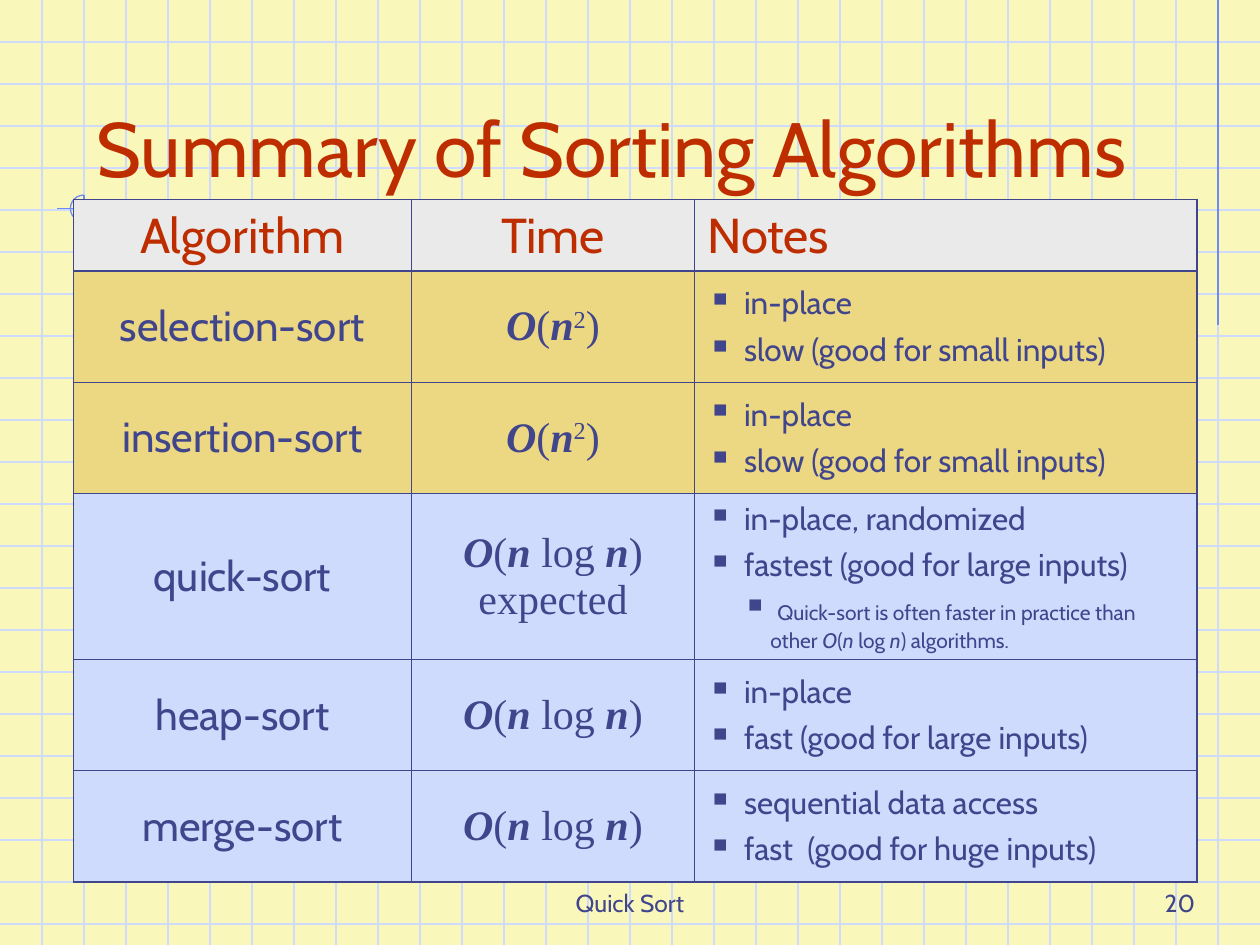
import dataclasses

import lxml.etree
import pptx
import pptx.dml.color
import pptx.enum.shapes
import pptx.enum.text
import pptx.oxml.ns
import pptx.util

Pt = pptx.util.Pt
ALIGN = pptx.enum.text.PP_ALIGN
ANCHOR = pptx.enum.text.MSO_ANCHOR
STRAIGHT = pptx.enum.shapes.MSO_CONNECTOR.STRAIGHT


@dataclasses.dataclass(frozen=True)
class Theme:
    background: str = "F9F8BA"
    grid: str = "CFDBFD"
    accent: str = "6F89F7"
    heading: str = "BE2D00"
    ink: str = "40458C"
    header_fill: str = "EAEAEA"
    slow_fill: str = "ECD882"
    fast_fill: str = "CFDBFD"
    font: str = "Cabin"
    math_font: str = "Times New Roman"
    title_size: float = 44
    header_size: float = 28
    body_size: float = 24
    note_size: float = 18
    detail_size: float = 12
    footer_size: float = 14


THEME = Theme()
WIDTH, HEIGHT, GRID_STEP = 720, 540, 24
THIN, THICK = 0.45, 1.08
COLUMN_WIDTHS = [193, 162, 287]
ROW_HEIGHTS = [41, 63.5, 63.5, 95, 63.5, 63.5]

VARIABLE = {"bold": True, "italic": True}
QUADRATIC = [("O", VARIABLE), ("(", {}), ("n", VARIABLE),
             ("2", {"superscript": True}), (")", {})]
LINEARITHMIC = [("O", VARIABLE), ("(", {}), ("n", VARIABLE), (" log ", {}),
                ("n", VARIABLE), (")", {})]
DETAIL = {"size": THEME.detail_size}
DETAIL_ITALIC = {"size": THEME.detail_size, "italic": True}
QUICK_SORT_DETAIL = [
    (" ", {}), ("Quick-sort is often faster in practice than other ", DETAIL),
    ("O", DETAIL_ITALIC), ("(", DETAIL), ("n", DETAIL_ITALIC),
    (" log ", DETAIL), ("n", DETAIL_ITALIC), (") algorithms.", DETAIL)]

HEADERS = [("Algorithm", ALIGN.CENTER), ("Time", ALIGN.CENTER), ("Notes", ALIGN.LEFT)]
ALGORITHMS = [
    ("selection-sort", QUADRATIC, ["in-place", "slow (good for small inputs)"],
     THEME.slow_fill),
    ("insertion-sort", QUADRATIC, ["in-place", "slow (good for small inputs)"],
     THEME.slow_fill),
    ("quick-sort", LINEARITHMIC + [("\n", {}), ("expected", {})],
     ["in-place, randomized", "fastest (good for large inputs)", QUICK_SORT_DETAIL],
     THEME.fast_fill),
    ("heap-sort", LINEARITHMIC, ["in-place", "fast (good for large inputs)"],
     THEME.fast_fill),
    ("merge-sort", LINEARITHMIC,
     ["sequential data access", "fast  (good for huge inputs)"], THEME.fast_fill),
]


def rgb(value):
    return pptx.dml.color.RGBColor.from_string(value)


def add_xml(parent, tag, **attributes):
    return lxml.etree.SubElement(parent, pptx.oxml.ns.qn(tag), attributes)


def add_run(paragraph, text, size, color=THEME.ink, font=THEME.font,
            bold=False, italic=False, superscript=False):
    if text == "\n":
        paragraph.add_line_break()
        return
    run = paragraph.add_run()
    run.text = text
    run.font.size = Pt(size)
    run.font.name = font
    run.font.bold = bold
    run.font.italic = italic
    run.font.color.rgb = rgb(color)
    if superscript:
        run.font._element.set("baseline", "30000")


def write_text(paragraph, text, align=ALIGN.LEFT, space_before=0, **style):
    """Fill a paragraph from a string or from (text, style) pairs."""
    paragraph.alignment = align
    paragraph.space_before = Pt(space_before)
    runs = [(text, {})] if isinstance(text, str) else text
    for run_text, run_style in runs:
        add_run(paragraph, run_text, **{**style, **run_style})


def add_bullet(paragraph, margin, hanging):
    properties = paragraph._p.get_or_add_pPr()
    properties.set("marL", str(Pt(margin)))
    properties.set("indent", str(-Pt(hanging)))
    add_xml(add_xml(properties, "a:buClr"), "a:srgbClr", val=THEME.ink)
    add_xml(properties, "a:buSzPct", val="110000")
    add_xml(properties, "a:buChar", char="▪")


def add_line(shapes, x1, y1, x2, y2, color):
    line = shapes.add_connector(STRAIGHT, Pt(x1), Pt(y1), Pt(x2), Pt(y2))
    line.line.color.rgb = rgb(color)
    line.line.width = Pt(0.75)
    add_xml(line._element.spPr, "a:effectLst")


def add_grid(slide):
    shapes = slide.shapes.add_group_shape().shapes
    for y in range(GRID_STEP, HEIGHT, GRID_STEP):
        add_line(shapes, 0, y, WIDTH, y, THEME.grid)
    for x in range(GRID_STEP, WIDTH, GRID_STEP):
        add_line(shapes, x, 0, x, HEIGHT, THEME.grid)


def add_accents(slide):
    shapes = slide.shapes.add_group_shape().shapes
    add_line(shapes, 696, 0, 696, 186, THEME.accent)
    add_line(shapes, 172.5, 119.25, 32.5, 119.25, THEME.accent)
    add_line(shapes, 48, 111.5, 48, 294.5, THEME.accent)
    arc = shapes.add_shape(pptx.enum.shapes.MSO_SHAPE.ARC,
                           Pt(40.25), Pt(111.5), Pt(15.25), Pt(15.25))
    arc.adjustments[0] = 0
    arc.adjustments[1] = 162  # 270 degrees
    arc.fill.background()
    arc.line.color.rgb = rgb(THEME.accent)
    arc.line.width = Pt(0.75)
    arc.shadow.inherit = False


def add_text_box(slide, text, left, top, width, height, **style):
    box = slide.shapes.add_textbox(Pt(left), Pt(top), Pt(width), Pt(height))
    box.text_frame.word_wrap = True
    box.text_frame.vertical_anchor = ANCHOR.BOTTOM
    write_text(box.text_frame.paragraphs[0], text, **style)


def format_cell(cell, fill, row, column):
    """Fill the cell and draw its borders: thick outside and under the header."""
    thick_sides = {"L": column == 0, "R": column == len(COLUMN_WIDTHS) - 1,
                   "T": row <= 1, "B": row in (0, len(ROW_HEIGHTS) - 1)}
    properties = cell._tc.get_or_add_tcPr()
    for side, thick in thick_sides.items():
        border = add_xml(properties, f"a:ln{side}", w=str(Pt(THICK if thick else THIN)))
        add_xml(add_xml(border, "a:solidFill"), "a:srgbClr", val=THEME.ink)
    cell.fill.solid()
    cell.fill.fore_color.rgb = rgb(fill)
    cell.vertical_anchor = ANCHOR.MIDDLE


def write_notes(cell, notes):
    frame = cell.text_frame
    for index, note in enumerate(notes):
        paragraph = frame.add_paragraph() if index else frame.paragraphs[0]
        is_detail = not isinstance(note, str)
        write_text(paragraph, note, size=THEME.note_size,
                   space_before=3 if is_detail else 4.5)
        if is_detail:
            paragraph.level = 1
            add_bullet(paragraph, margin=36, hanging=16)
        else:
            add_bullet(paragraph, margin=21, hanging=21)


def add_algorithm_table(slide):
    table = slide.shapes.add_table(
        len(ROW_HEIGHTS), len(COLUMN_WIDTHS), Pt(42), Pt(114),
        Pt(sum(COLUMN_WIDTHS)), Pt(sum(ROW_HEIGHTS))).table
    table.first_row = table.horz_banding = False
    for column, width in zip(table.columns, COLUMN_WIDTHS):
        column.width = Pt(width)
    for row, height in zip(table.rows, ROW_HEIGHTS):
        row.height = Pt(height)

    fills = [THEME.header_fill] + [algorithm[-1] for algorithm in ALGORITHMS]
    for row, fill in enumerate(fills):
        for column in range(len(COLUMN_WIDTHS)):
            format_cell(table.cell(row, column), fill, row, column)
    for column, (header, align) in enumerate(HEADERS):
        write_text(table.cell(0, column).text_frame.paragraphs[0], header, align=align,
                   space_before=7, size=THEME.header_size, color=THEME.heading)
    for row, (name, time, notes, _) in enumerate(ALGORITHMS, start=1):
        for column, text, font in ((0, name, THEME.font), (1, time, THEME.math_font)):
            write_text(table.cell(row, column).text_frame.paragraphs[0], text, font=font,
                       align=ALIGN.CENTER, space_before=6, size=THEME.body_size)
        write_notes(table.cell(row, 2), notes)


def main():
    presentation = pptx.Presentation()
    presentation.slide_width, presentation.slide_height = Pt(WIDTH), Pt(HEIGHT)
    slide = presentation.slides.add_slide(presentation.slide_layouts[6])
    slide.background.fill.solid()
    slide.background.fill.fore_color.rgb = rgb(THEME.background)
    add_grid(slide)
    add_accents(slide)
    add_text_box(slide, "Quick Sort", 246, 492, 228, 36,
                 align=ALIGN.CENTER, size=THEME.footer_size)
    add_text_box(slide, "20", 540, 492, 150, 36,
                 align=ALIGN.RIGHT, size=THEME.footer_size)
    add_text_box(slide, "Summary of Sorting Algorithms", 48, 24, 636, 90,
                 size=THEME.title_size, color=THEME.heading)
    add_algorithm_table(slide)
    presentation.save("out.pptx")


if __name__ == "__main__":
    main()
